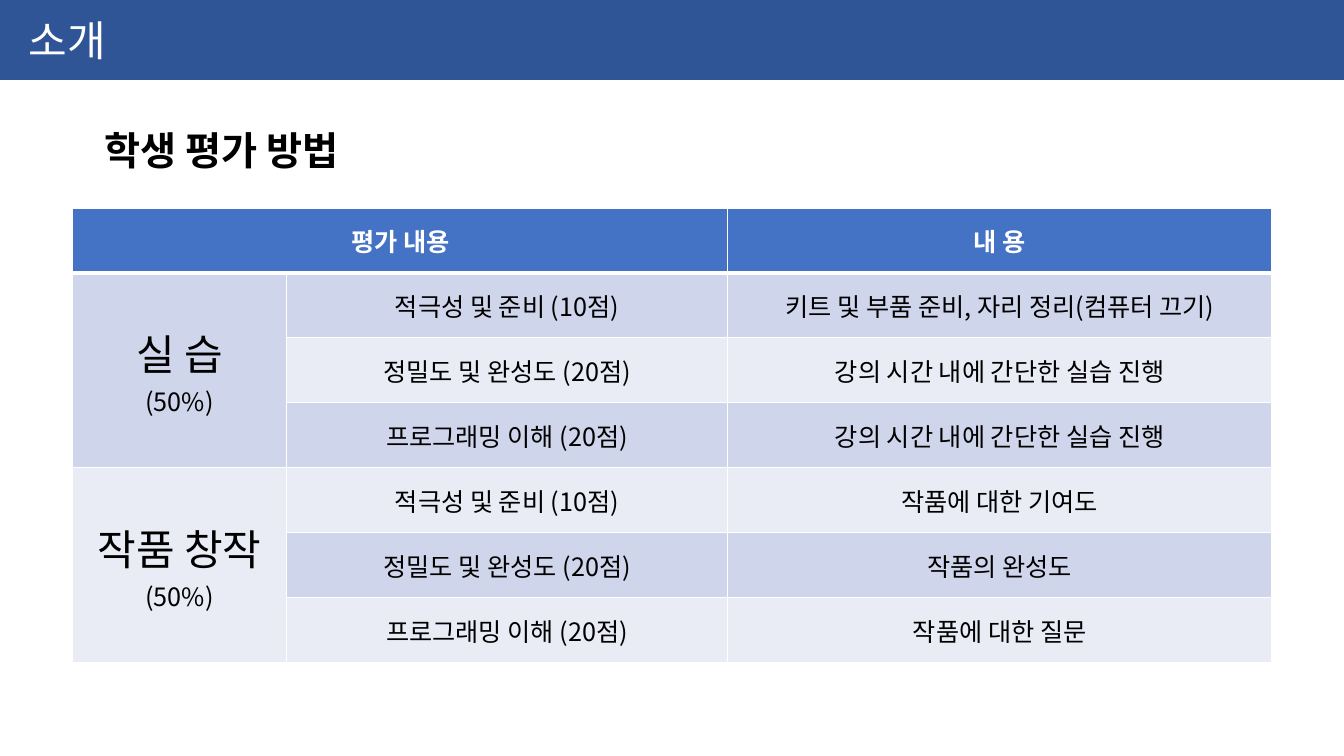
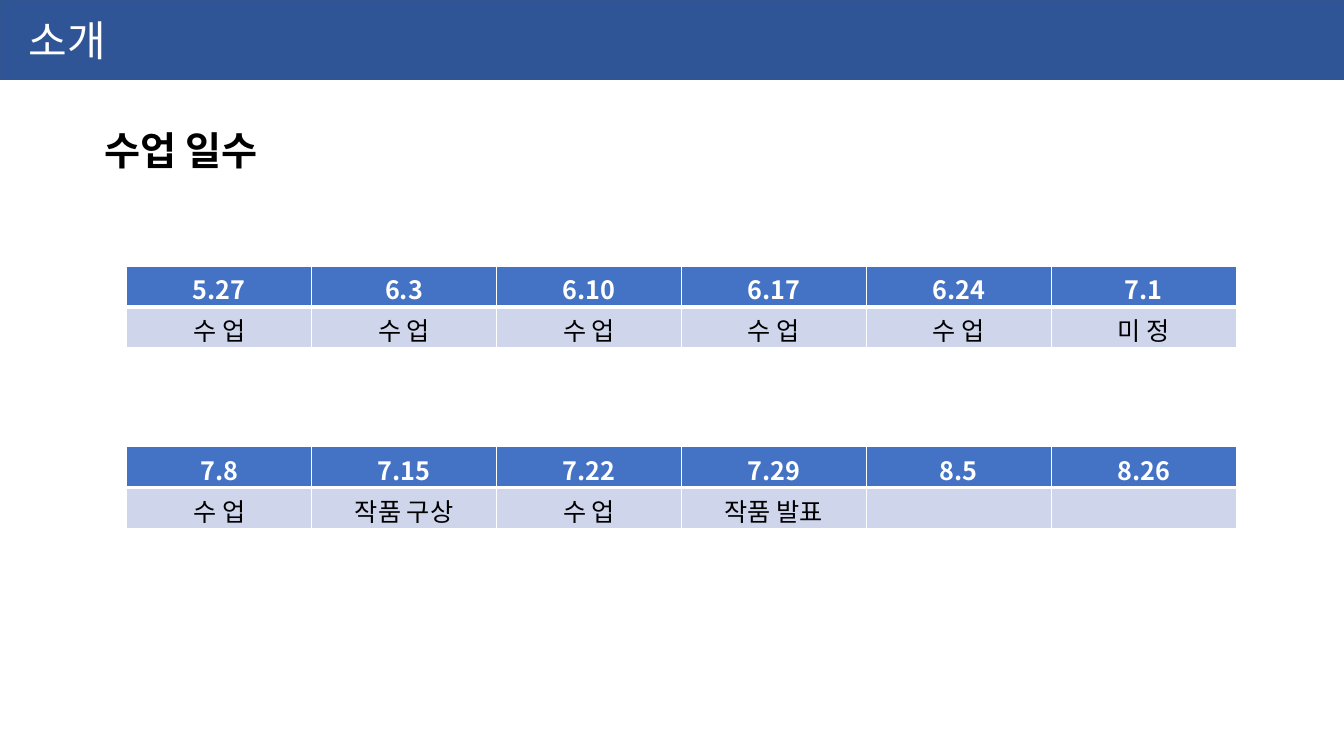
from lxml.etree import SubElement
from pptx import Presentation
from pptx.dml.color import RGBColor
from pptx.enum.shapes import MSO_SHAPE as Shape
from pptx.enum.text import MSO_ANCHOR as Anchor, PP_ALIGN as Align
from pptx.oxml.ns import qn
from pptx.util import Pt

WHITE = RGBColor(0xFF, 0xFF, 0xFF)
BLACK = RGBColor(0x00, 0x00, 0x00)
BAND_BLUE = RGBColor(0x2F, 0x55, 0x97)
BAND_EDGE = RGBColor(0x32, 0x54, 0x91)
HEADER_BLUE = RGBColor(0x44, 0x72, 0xC4)
ROW_TINTS = (RGBColor(0xCF, 0xD5, 0xEA), RGBColor(0xE9, 0xEB, 0xF5))

KOREAN_FONT = "Noto Sans CJK KR"
HEADING_FONT = "Arial"
SLIDE_WIDTH, SLIDE_HEIGHT = 960, 540

GRADING = [
    ["평가 내용", "", "내 용"],
    ["실 습\n(50%)", "적극성 및 준비 (10점)", "키트 및 부품 준비, 자리 정리(컴퓨터 끄기)"],
    ["", "정밀도 및 완성도 (20점)", "강의 시간 내에 간단한 실습 진행"],
    ["", "프로그래밍 이해 (20점)", "강의 시간 내에 간단한 실습 진행"],
    ["작품 창작\n(50%)", "적극성 및 준비 (10점)", "작품에 대한 기여도"],
    ["", "정밀도 및 완성도 (20점)", "작품의 완성도"],
    ["", "프로그래밍 이해 (20점)", "작품에 대한 질문"],
]
GRADING_MERGES = [(0, 0, 0, 1), (1, 0, 3, 0), (4, 0, 6, 0)]

SCHEDULES = [
    [["5.27", "6.3", "6.10", "6.17", "6.24", "7.1"],
     ["수 업", "수 업", "수 업", "수 업", "수 업", "미 정"]],
    [["7.8", "7.15", "7.22", "7.29", "8.5", "8.26"],
     ["수 업", "작품 구상", "수 업", "작품 발표", "", ""]],
]


def style_paragraph(paragraph, size, color, bold=False, font=KOREAN_FONT):
    for run in paragraph.runs:
        run.font.size = Pt(size)
        run.font.bold = bold
        run.font.color.rgb = color
        run.font.name = font
        if font == KOREAN_FONT:
            SubElement(run.font._element, qn("a:ea"), typeface=font)


def add_section_band(slide, title):
    band = slide.shapes.add_shape(Shape.RECTANGLE, 0, 0, Pt(SLIDE_WIDTH), Pt(57))
    band.shadow.inherit = False
    band.fill.solid()
    band.fill.fore_color.rgb = BAND_BLUE
    band.line.color.rgb = BAND_EDGE
    band.line.width = Pt(1)
    frame = band.text_frame
    frame.text = title
    frame.margin_left = Pt(20.6)
    frame.vertical_anchor = Anchor.MIDDLE
    frame.paragraphs[0].alignment = Align.LEFT
    style_paragraph(frame.paragraphs[0], 30, WHITE)


def add_heading(slide, heading):
    box = slide.shapes.add_textbox(Pt(67.7), Pt(87), Pt(824.4), Pt(48))
    frame = box.text_frame
    frame.word_wrap = True
    frame.text = heading
    style_paragraph(frame.paragraphs[0], 28, BLACK, True, HEADING_FONT)


def add_borders(cell, row):
    """Draw white cell edges, with a heavier rule below the header row."""
    properties = cell._tc.get_or_add_tcPr()
    widths = {"L": 1, "R": 1, "T": 3 if row == 1 else 1, "B": 3 if row == 0 else 1}
    for side, width in widths.items():
        edge = SubElement(properties, qn(f"a:ln{side}"), w=str(Pt(width)))
        fill = SubElement(edge, qn("a:solidFill"))
        SubElement(fill, qn("a:srgbClr"), val=str(WHITE))


def fill_cell(cell, row, text):
    is_header = row == 0
    add_borders(cell, row)
    cell.fill.solid()
    cell.fill.fore_color.rgb = HEADER_BLUE if is_header else ROW_TINTS[(row - 1) % 2]
    cell.vertical_anchor = Anchor.MIDDLE
    cell.text_frame.text = text
    paragraphs = cell.text_frame.paragraphs
    for index, paragraph in enumerate(paragraphs):
        paragraph.alignment = Align.CENTER
        is_category = len(paragraphs) > 1 and index == 0
        style_paragraph(paragraph, 30 if is_category else 18,
                        WHITE if is_header else BLACK, is_header)


def add_grid(slide, rows, left, top, widths, row_height, merges=(), margins=(3.6, 3.6)):
    """Add a table; margins are the top and bottom cell insets."""
    table = slide.shapes.add_table(
        len(rows), len(widths), Pt(left), Pt(top),
        Pt(sum(widths)), Pt(row_height * len(rows))).table
    for column, width in zip(table.columns, widths):
        column.width = Pt(width)
    for row, texts in enumerate(rows):
        table.rows[row].height = Pt(row_height)
        for column, text in enumerate(texts):
            cell = table.cell(row, column)
            fill_cell(cell, row, text)
            cell.margin_top, cell.margin_bottom = map(Pt, margins)
    for first_row, first_column, last_row, last_column in merges:
        table.cell(first_row, first_column).merge(table.cell(last_row, last_column))


def add_intro_slide(deck, heading):
    slide = deck.slides.add_slide(deck.slide_layouts[6])
    add_section_band(slide, "소개")
    add_heading(slide, heading)
    return slide


def main():
    deck = Presentation()
    deck.slide_width, deck.slide_height = Pt(SLIDE_WIDTH), Pt(SLIDE_HEIGHT)

    grading = add_intro_slide(deck, "학생 평가 방법")
    add_grid(grading, GRADING, 52, 148.6, [152.6, 315.2, 388.6], 46.4, GRADING_MERGES)

    lessons = add_intro_slide(deck, "수업 일수")
    for index, schedule in enumerate(SCHEDULES):
        add_grid(lessons, schedule, 90.5, 190.2 + index * 128.8, [132.1] * 6, 29.2,
                 margins=(3, 0))

    deck.save("out.pptx")


if __name__ == "__main__":
    main()
